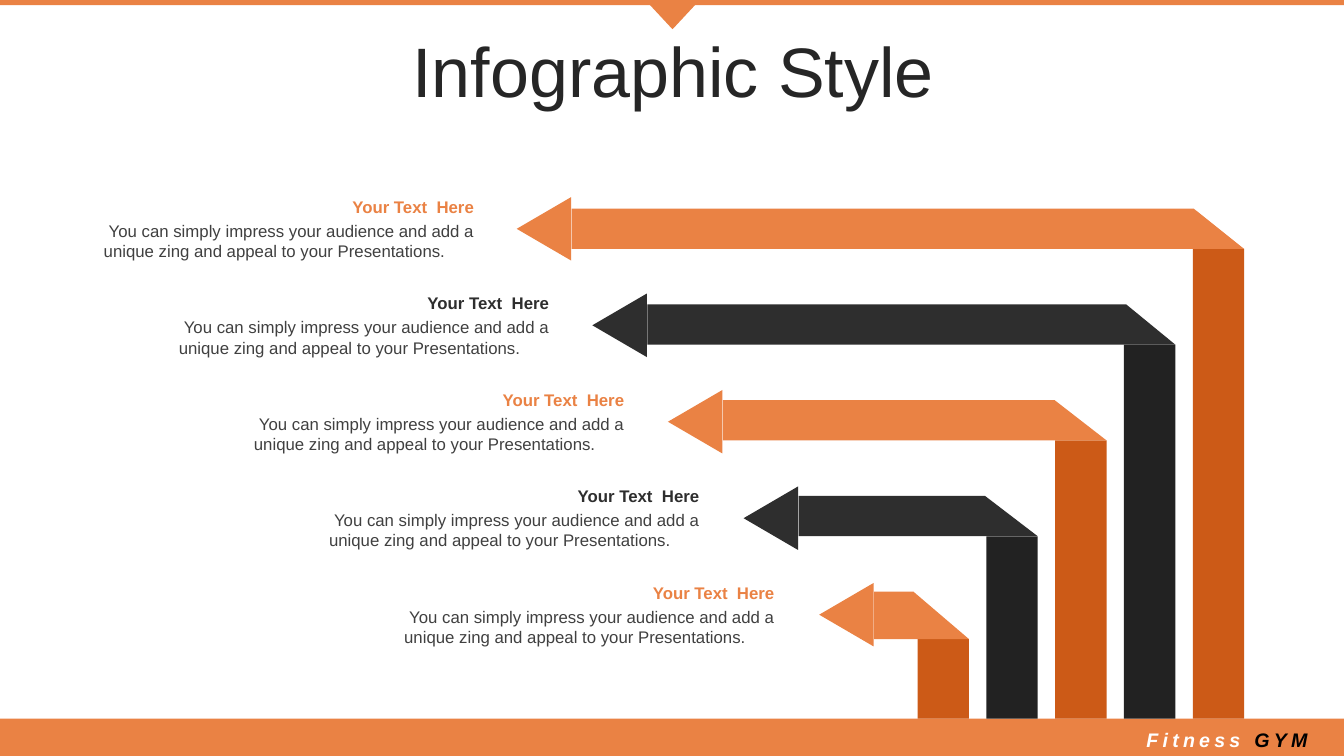
"""Build the Infographic Style slide with five bent arrows and captions."""
from pptx import Presentation
from pptx.dml.color import RGBColor
from pptx.enum.shapes import MSO_SHAPE
from pptx.enum.text import MSO_ANCHOR, PP_ALIGN
from pptx.util import Inches, Pt

ORANGE = RGBColor(0xEA, 0x82, 0x44)
RUST = RGBColor(0xCC, 0x5A, 0x17)
CHARCOAL = RGBColor(0x2E, 0x2E, 0x2E)
BLACK = RGBColor(0x22, 0x22, 0x22)
TITLE_GREY = RGBColor(0x26, 0x26, 0x26)
BODY_GREY = RGBColor(0x40, 0x40, 0x40)
FLOOR = 7.13
CAPTION = "You can simply impress your audience and add a unique zing and appeal to your Presentations."

prs = Presentation()
prs.slide_width, prs.slide_height = Inches(13.33), Inches(7.5)
s = prs.slides.add_slide(prs.slide_layouts[5])


def add_flat(kind, x, y, w, h, color, rotation=0):
    sp = s.shapes.add_shape(kind, Inches(x), Inches(y), Inches(w), Inches(h))
    sp.rotation = rotation
    sp.shadow.inherit = False
    sp.fill.solid()
    sp.fill.fore_color.rgb = color
    sp.line.fill.background()


def add_text(x, y, w, h, text, size, color, align, bold=False):
    tf = s.shapes.add_textbox(Inches(x), Inches(y), Inches(w), Inches(h)).text_frame
    tf.word_wrap = True
    p = tf.paragraphs[0]
    p.alignment = align
    p.add_run().text = text
    p.font.name = "Arial"
    p.font.size = Pt(size)
    p.font.bold = bold
    p.font.color.rgb = color
    return tf


add_flat(MSO_SHAPE.ISOSCELES_TRIANGLE, 6.4, 0, 0.54, 0.29, ORANGE, 180)
add_flat(MSO_SHAPE.RECTANGLE, 0, 0, 13.33, 0.05, ORANGE)
add_flat(MSO_SHAPE.RECTANGLE, 0, FLOOR, 13.33, 0.37, ORANGE)

title = s.shapes.title
title.left, title.top = Inches(0.35), Inches(0.37)
title.width, title.height = Inches(12.66), Inches(0.79)
title.text_frame.text = "Infographic Style"
title.text_frame.vertical_anchor = MSO_ANCHOR.MIDDLE
p = title.text_frame.paragraphs[0]
p.alignment = PP_ALIGN.CENTER
p.line_spacing = 0.8
p.font.name = "Arial"
p.font.size = Pt(50)
p.font.color.rgb = TITLE_GREY

tf = add_text(11.24, 7.11, 1.86, 0.45, "Fitness ", 14, RGBColor(0xFF, 0xFF, 0xFF), PP_ALIGN.CENTER, True)
tf.vertical_anchor = MSO_ANCHOR.MIDDLE
p = tf.paragraphs[0]
p.font.italic = True
r = p.add_run()
r.text = "GYM"
r.font.color.rgb = RGBColor(0, 0, 0)
for r in p.runs:
    r.font._element.set("spc", "300")

bends = [11.84, 11.17, 10.46, 9.77, 9.06]
thicknesses = [0.4, 0.4, 0.4, 0.4, 0.47]
for i, (bend, thickness) in enumerate(zip(bends, thicknesses)):
    band, post, heading = (CHARCOAL, BLACK, CHARCOAL) if i % 2 else (ORANGE, RUST, ORANGE)
    post_x = 11.83 - 0.6825 * i
    tail_x = 5.67 + 0.75 * i
    top = 2.07 + 0.95 * i
    bottom = top + thickness
    add_flat(MSO_SHAPE.RECTANGLE, post_x, bottom, 0.51, FLOOR - bottom, post)

    fb = s.shapes.build_freeform(Inches(tail_x), Inches(top))
    corners = [(bend, top), (post_x + 0.51, bottom), (tail_x, bottom)]
    fb.add_line_segments([(Inches(x), Inches(y)) for x, y in corners], close=True)
    sp = fb.convert_to_shape()
    sp.shadow.inherit = False
    sp.fill.solid()
    sp.fill.fore_color.rgb = band
    sp.line.fill.background()
    add_flat(MSO_SHAPE.ISOSCELES_TRIANGLE, 5.08 + 0.75 * i, 2 + 0.957 * i, 0.63, 0.54, band, 270)

    text_x = 0.65 + 0.745 * i
    text_y = 1.9 + 0.957 * i
    add_text(text_x, text_y, 4.15, 0.3, "Your Text  Here", 12, heading, PP_ALIGN.RIGHT, True)
    tf = add_text(text_x, text_y + 0.24, 4.15, 0.5, CAPTION, 12, BODY_GREY, PP_ALIGN.LEFT)
    tf.margin_right = Inches(0)
    pPr = tf.paragraphs[0]._p.get_or_add_pPr()
    pPr.set("marL", str(Inches(0.28)))
    pPr.set("indent", str(Inches(0.05)))

prs.save("out.pptx")
